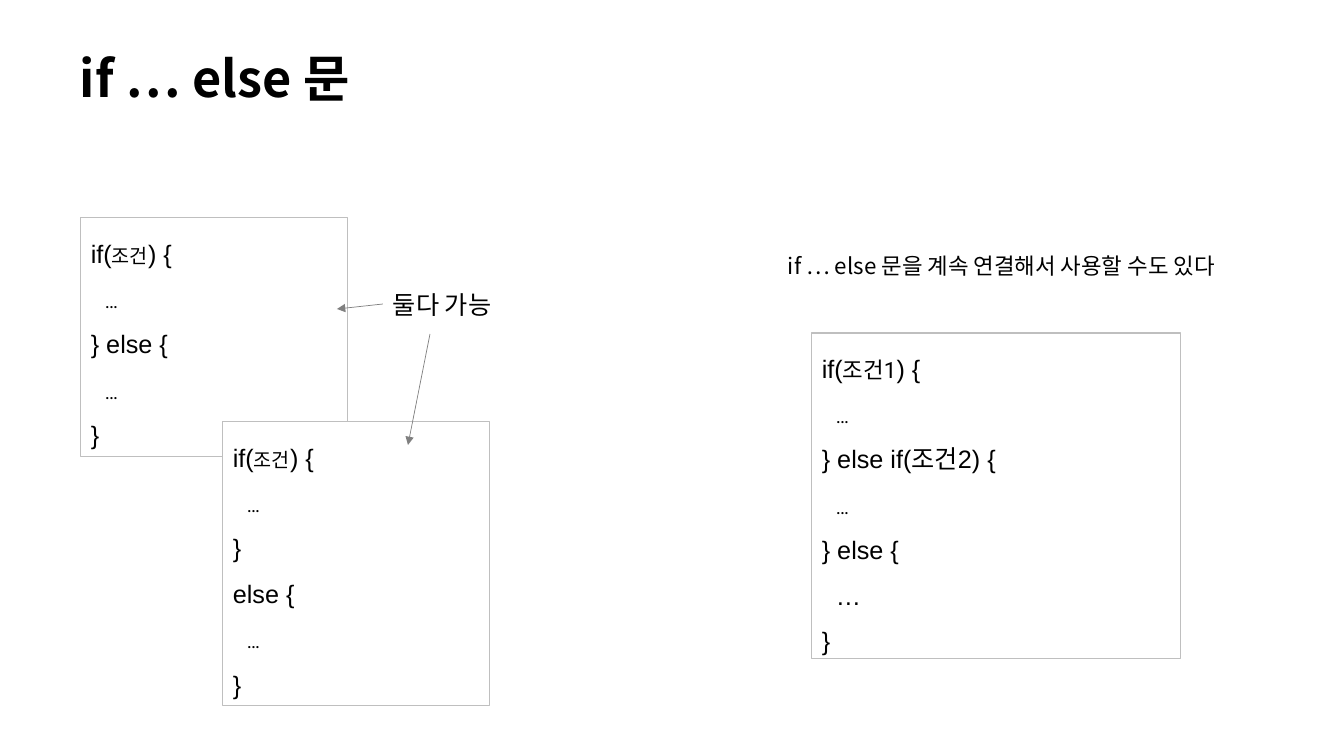
"""Builds a slide on the if … else statement."""
from pptx import Presentation
from pptx.dml.color import RGBColor
from pptx.enum.shapes import MSO_CONNECTOR, MSO_SHAPE
from pptx.enum.text import MSO_ANCHOR, PP_ALIGN
from pptx.oxml.ns import qn
from pptx.util import Emu, Pt

PX_PER_INCH = 100.8
KOREAN = "Noto Sans CJK KR"
TITLE = {"name": KOREAN, "size": Pt(36), "bold": True}
NOTE = {"name": KOREAN, "size": Pt(16)}
LABEL = {"name": KOREAN, "size": Pt(18)}
CODE = {"name": "Arial", "size": Pt(18)}
WORD = {"name": "Roboto", "size": Pt(14)}
NUMBERED = {"name": "Roboto", "size": Pt(16)}

CONDITION = [("if(", CODE), ("조건", WORD), (") {\n  ", CODE), ("…", WORD)]
CLOSE = [("}", CODE)]
JOINED = [CONDITION, [("} else {\n  ", CODE), ("…", WORD)], CLOSE]
SEPARATE = [CONDITION, CLOSE, [("else {\n  ", CODE), ("…", WORD)], CLOSE]
CHAINED = [
    [("if(", CODE), ("조건1", NUMBERED), (") {\n  ", CODE), ("…", WORD)],
    [("} else if(조건2) { \n  ", CODE), ("…", WORD)],
    [("} else {", CODE)],
    [("  …", CODE)],
    CLOSE,
]


def px(*lengths):
    """Turn pixel lengths into EMU."""
    return [Emu(round(length * 914400 / PX_PER_INCH)) for length in lengths]


def color(value):
    """Turn a hex string into a colour."""
    return RGBColor.from_string(value)


def add_span(para, text, style):
    """Add one formatted span, with the same face for Korean letters."""
    span = para.add_run()
    span.text = text
    for name, value in style.items():
        setattr(span.font, name, value)
    span.font.color.rgb = color("000000")
    properties = span.font._element
    properties.append(properties.makeelement(qn("a:ea"), {"typeface": KOREAN}))


def write(box, paragraphs, spacing=1.0, anchor=MSO_ANCHOR.TOP, wrap=True):
    """Fill a box with paragraphs of spans, breaking lines at newlines."""
    frame = box.text_frame
    frame.word_wrap = wrap
    frame.vertical_anchor = anchor
    for index, spans in enumerate(paragraphs):
        para = frame.add_paragraph() if index else frame.paragraphs[0]
        para.alignment = PP_ALIGN.LEFT
        para.line_spacing = spacing
        for text, style in spans:
            for number, line in enumerate(text.split("\n")):
                if number:
                    para.add_line_break()
                add_span(para, line, style)


def add_text(page, place, text, style, **layout):
    """Add a one-line text box."""
    box = page.shapes.add_textbox(*px(*place))
    write(box, [[(text, style)]], **layout)
    return box


def add_code(page, place, paragraphs, fill=None):
    """Add a framed code listing."""
    box = page.shapes.add_shape(MSO_SHAPE.RECTANGLE, *px(*place))
    box.shadow.inherit = False
    if fill:
        box.fill.solid()
        box.fill.fore_color.rgb = color(fill)
    else:
        box.fill.background()
    box.line.color.rgb = color("BFBFBF")
    box.line.width = Pt(0.75)
    write(box, paragraphs, spacing=1.5)


def add_arrow(page, *ends):
    """Add a thin grey arrow between two points."""
    arrow = page.shapes.add_connector(MSO_CONNECTOR.STRAIGHT, *px(*ends))
    arrow.line.color.rgb = color("808080")
    arrow.line.width = Pt(0.5)
    line = arrow.line._get_or_add_ln()
    line.append(line.makeelement(qn("a:tailEnd"), {"type": "triangle"}))
    properties = arrow._element.spPr
    properties.append(properties.makeelement(qn("a:effectLst"), {}))
    return arrow


def main():
    """Build and save the slide."""
    deck = Presentation()
    deck.slide_width, deck.slide_height = px(1344, 756)
    page = deck.slides.add_slide(deck.slide_layouts[6])
    add_text(page, (70, 35, 982, 93), "if … else 문", TITLE,
             spacing=0.9, anchor=MSO_ANCHOR.MIDDLE)
    add_text(page, (778, 247, 563, 37),
             "if … else 문을 계속 연결해서 사용할 수도 있다", NOTE)
    add_code(page, (81, 218, 267, 239), JOINED)
    add_code(page, (223, 422, 267, 284), SEPARATE, fill="FFFFFF")
    label = add_text(page, (383, 284, 128, 40), "둘다 가능", LABEL, wrap=False)
    add_arrow(page, 383, 304, 337, 309).begin_connect(label, 1)
    add_arrow(page, 430, 334, 408, 445)
    add_code(page, (812, 333, 369, 326), CHAINED)
    deck.save("out.pptx")


if __name__ == "__main__":
    main()
